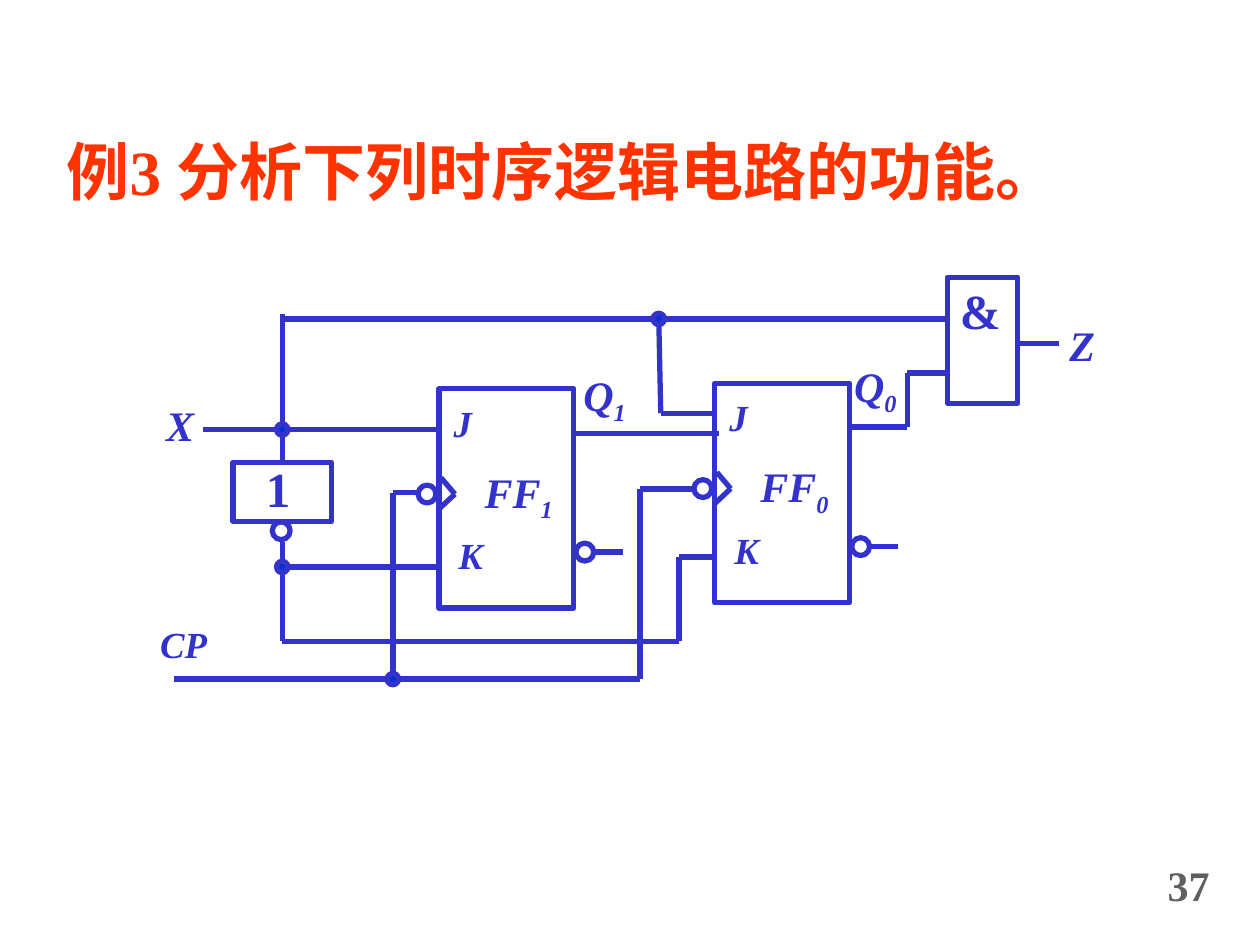
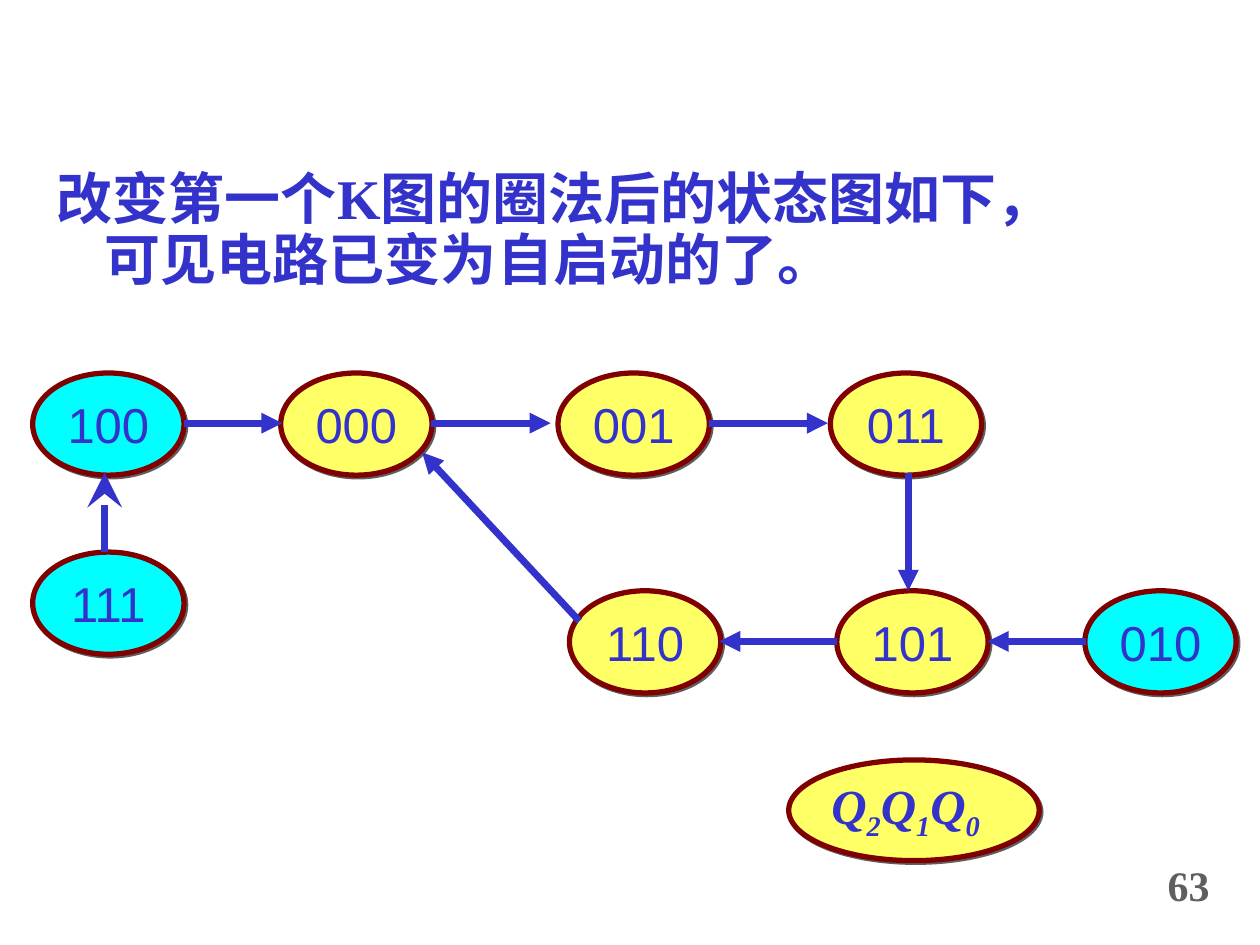
"""Build two slides on sequential logic: a JK flip-flop circuit and a state diagram."""
import dataclasses
import itertools

import pptx
import pptx.dml.color
import pptx.enum.shapes
import pptx.enum.text
import pptx.oxml
import pptx.oxml.ns
import pptx.util
from lxml import etree

Cm, Pt = pptx.util.Cm, pptx.util.Pt
SHAPE = pptx.enum.shapes.MSO_SHAPE
ALIGN = pptx.enum.text.PP_ALIGN
ANCHOR = pptx.enum.text.MSO_ANCHOR
FIT = pptx.enum.text.MSO_AUTO_SIZE


@dataclasses.dataclass(frozen=True)
class Theme:
    blue: str = "3333CC"
    dot: str = "0033CC"
    red: str = "FF3300"
    grey: str = "5F5F5F"
    maroon: str = "800000"
    yellow: str = "FFFF66"
    cyan: str = "00FFFF"
    serif: str = "Times New Roman"
    sans: str = "Arial"
    cjk: str = "Noto Sans CJK SC"
    line: int = 3
    arrow: int = 4
    pin: int = 21
    label: int = 24
    big: int = 28
    hang: float = 0.97
    tight: float = 0.9


T = Theme()
BOLD = {"bold": True, "name": T.serif}
ITALIC = {**BOLD, "italic": True}
PIN = {**ITALIC, "size": Pt(T.pin)}
LABEL = {**ITALIC, "size": Pt(T.label)}
GATE = {**BOLD, "size": Pt(T.big)}
CENTRED = {"alignment": ALIGN.CENTER, "line_spacing": T.tight}
TIGHT = {"line_spacing": T.tight}

CIRCUIT = {
    "title": ("例3 分析下列时序逻辑电路的功能。", 36, T.red, (1.09, 2.72, 20.02, 3)),
    "number": "37",
}
STATES = {
    "title": ("改变第一个K图的圈法后的状态图如下，可见电路已变为自启动的了。", 32, T.blue,
              (0.89, 3.33, 21.01, 2.69)),
    "number": "63",
}
NUMBER_BOX = (23.29, 17.32, 1.6, 1.17)

FLIP_FLOPS = [("FF_1", 8.85, 7.84), ("FF_0", 14.41, 7.73)]
FF_SIZE = (2.72, 4.42)
FF_BUBBLES = [(-0.42, 1.94), (2.76, 3.11)]
FF_LINES = [[(0.04, 1.79), (0.32, 2.12), (0, 2.42)], [(3.06, 3.29), (3.7, 3.29)]]
FF_PINS = [("J", -0.32, 0.21), ("K", -0.16, 2.88)]
GATES = [(4.7, 9.32, 1.98, 1.19), (19.1, 5.59, 1.42, 2.54)]
BUBBLE, DOT = 0.36, 0.23
NOT_BUBBLE = (5.49, 10.52)
DOTS = [(7.92, 13.69), (5.69, 8.66), (13.28, 6.43), (5.69, 11.43)]
WIRES = [
    [(4.09, 8.66), (8.85, 8.66)],
    [(5.69, 9.32), (5.69, 6.32)],
    [(5.69, 6.43), (19.1, 6.43)],
    [(5.69, 11.43), (8.85, 11.43)],
    [(5.69, 10.92), (5.69, 12.93), (13.69, 12.93), (13.69, 11.23), (14.41, 11.23)],
    [(3.51, 13.69), (12.9, 13.69), (12.9, 9.86), (13.97, 9.86)],
    [(7.92, 13.69), (7.92, 9.93), (8.41, 9.93)],
    [(11.51, 8.74), (14.5, 8.74)],
    [(13.28, 6.43), (13.32, 8.33), (14.41, 8.33)],
    [(17.12, 8.61), (18.29, 8.61), (18.29, 7.52), (19.1, 7.52)],
    [(20.5, 6.93), (21.34, 6.93)],
]
CIRCUIT_LABELS = [
    ("1", (5.11, 9.12, 1.7, 1.45), GATE, {}),
    ("&", (19.1, 5.54, 1.7, 1.45), GATE, {}),
    ("X", (3.1, 7.92, 1.73, 1.27), LABEL, {}),
    ("Z", (21.31, 6.32, 1.73, 1.27), LABEL, {}),
    ("Q_1", (11.51, 7.32, 1.73, 1.42), LABEL, {}),
    ("Q_0", (16.97, 7.14, 1.73, 1.42), LABEL, {}),
    ("CP", (2.9, 12.52, 1.6, 1.09), PIN, CENTRED),
]

STATE_SIZE = (3.05, 2.06)
TOP_ROW, BOTTOM_ROW = 7.52, 11.91
STATE_NODES = [
    ("100", 0.66, TOP_ROW, T.cyan),
    ("000", 5.66, TOP_ROW, T.yellow),
    ("001", 11.25, TOP_ROW, T.yellow),
    ("011", 16.74, TOP_ROW, T.yellow),
    ("111", 0.66, 11.13, T.cyan),
    ("110", 11.48, BOTTOM_ROW, T.yellow),
    ("101", 16.87, BOTTOM_ROW, T.yellow),
    ("010", 21.87, BOTTOM_ROW, T.cyan),
]
TRANSITIONS = [
    ((3.71, 8.53), (5.69, 8.53), "triangle", "med"),
    ((8.69, 8.53), (11.1, 8.53), "triangle", "med"),
    ((14.3, 8.53), (16.69, 8.53), "triangle", "med"),
    ((18.31, 9.53), (18.31, 11.91), "triangle", "med"),
    ((16.87, 12.93), (14.5, 12.93), "triangle", "med"),
    ((21.89, 12.93), (19.91, 12.93), "triangle", "med"),
    ((11.68, 12.52), (8.51, 9.12), "triangle", "med"),
    ((2.11, 11.13), (2.11, 9.53), "stealth", "lg"),
]
LEGEND = ("Q_2_Q_1_Q_0", (15.9, 15.32, 5.05, 2.03), (16.51, 15.52, 3.89, 1.47))


def rgb(value):
    return pptx.dml.color.RGBColor.from_string(value)


def cm(values):
    return [Cm(v) for v in values]


def apply(obj, fmt):
    for name, value in fmt.items():
        setattr(obj, name, value)


def sub(parent, tag, **attrs):
    return etree.SubElement(parent, pptx.oxml.ns.qn(tag), attrs)


def write(tf, text, font, color=T.blue, para={}):
    p = tf.paragraphs[0]
    apply(p, para)
    for i, part in enumerate(text.split("_")):
        if not part:
            continue
        r = p.add_run()
        r.text = part
        apply(r.font, font)
        r.font.color.rgb = rgb(color)
        rpr = r.font._element
        sub(rpr, "a:ea", typeface=T.cjk)
        if i % 2:
            rpr.set("baseline", "-25000")
    return p


def add_text(s, text, box, font, para={}, color=T.blue):
    tf = s.shapes.add_textbox(*cm(box)).text_frame
    tf.word_wrap = True
    return write(tf, text, font, color, para)


def add_shape(s, kind, box, fill=None, line=T.blue):
    sp = s.shapes.add_shape(kind, *cm(box))
    sp.shadow.inherit = False
    if fill:
        sp.fill.solid()
        sp.fill.fore_color.rgb = rgb(fill)
    else:
        sp.fill.background()
    sp.line.color.rgb = rgb(line)
    sp.line.width = Pt(T.line)
    return sp


def add_line(s, start, end, width=T.line, head=None, size="med"):
    c = s.shapes.add_connector(pptx.enum.shapes.MSO_CONNECTOR.STRAIGHT, *cm(start + end))
    c.line.color.rgb = rgb(T.blue)
    c.line.width = Pt(width)
    sub(c._element.spPr, "a:effectLst")
    if head:
        sub(c.line._get_or_add_ln(), "a:tailEnd", type=head, w=size, len=size)


def add_path(s, points, dx=0, dy=0):
    moved = [(x + dx, y + dy) for x, y in points]
    for start, end in itertools.pairwise(moved):
        add_line(s, start, end)


def add_bubble(s, x, y):
    add_shape(s, SHAPE.OVAL, (x, y, BUBBLE, BUBBLE))


def add_ellipse(s, box, fill):
    sp = add_shape(s, SHAPE.OVAL, box, fill, T.maroon)
    effects = sp._element.spPr.find(pptx.oxml.ns.qn("a:effectLst"))
    shadow = sub(effects, "a:outerShdw", dist=str(Pt(1.4)), dir="2700000",
                 algn="ctr", rotWithShape="0")
    sub(shadow, "a:srgbClr", val=T.grey)
    return sp


def add_slide(prs, content):
    s = prs.slides.add_slide(prs.slide_layouts[5])
    text, size, color, box = content["title"]
    title = s.shapes.title
    apply(title, dict(zip(("left", "top", "width", "height"), cm(box))))
    tf = title.text_frame
    apply(tf, {"word_wrap": True, "auto_size": FIT.NONE, "vertical_anchor": ANCHOR.TOP})
    p = write(tf, text, {**BOLD, "size": Pt(size)}, color,
              {"alignment": ALIGN.LEFT, "line_spacing": T.tight, "space_before": Pt(0)})
    ppr = p._p.get_or_add_pPr()
    ppr.set("marL", str(Cm(T.hang)))
    ppr.set("indent", str(-Cm(T.hang)))
    add_text(s, content["number"], NUMBER_BOX, {**BOLD, "size": Pt(T.label)}, TIGHT, T.grey)
    return s


def add_flip_flop(s, name, x, y):
    add_shape(s, SHAPE.RECTANGLE, (x, y) + FF_SIZE)
    for dx, dy in FF_BUBBLES:
        add_bubble(s, x + dx, y + dy)
    for points in FF_LINES:
        add_path(s, points, x, y)
    for pin, dx, dy in FF_PINS:
        add_text(s, pin, (x + dx, y + dy, 1.6, 1.09), PIN, CENTRED)
    add_text(s, name, (x + 0.67, y + 1.43, 2, 1.42), LABEL)


def build_circuit(prs):
    s = add_slide(prs, CIRCUIT)
    for flip_flop in FLIP_FLOPS:
        add_flip_flop(s, *flip_flop)
    for box in GATES:
        add_shape(s, SHAPE.RECTANGLE, box)
    for points in WIRES:
        add_path(s, points)
    add_bubble(s, *NOT_BUBBLE)
    for x, y in DOTS:
        add_shape(s, SHAPE.OVAL, (x - DOT / 2, y - DOT / 2, DOT, DOT), T.dot)
    for text, box, font, para in CIRCUIT_LABELS:
        add_text(s, text, box, font, para)


def build_states(prs):
    s = add_slide(prs, STATES)
    for code, x, y, fill in STATE_NODES:
        tf = add_ellipse(s, (x, y) + STATE_SIZE, fill).text_frame
        apply(tf, {"word_wrap": False, "vertical_anchor": ANCHOR.MIDDLE})
        write(tf, code, {"name": T.sans, "size": Pt(T.big)}, para={"alignment": ALIGN.CENTER})
    for start, end, head, size in TRANSITIONS:
        add_line(s, start, end, T.arrow, head, size)
    text, oval, box = LEGEND
    add_ellipse(s, oval, T.yellow)
    add_text(s, text, box, {**ITALIC, "size": Pt(T.big)}, TIGHT)


def main():
    prs = pptx.Presentation()
    prs.slide_width, prs.slide_height = Cm(25.4), Cm(19.05)
    build_circuit(prs)
    build_states(prs)
    prs.save("out.pptx")


if __name__ == "__main__":
    main()
